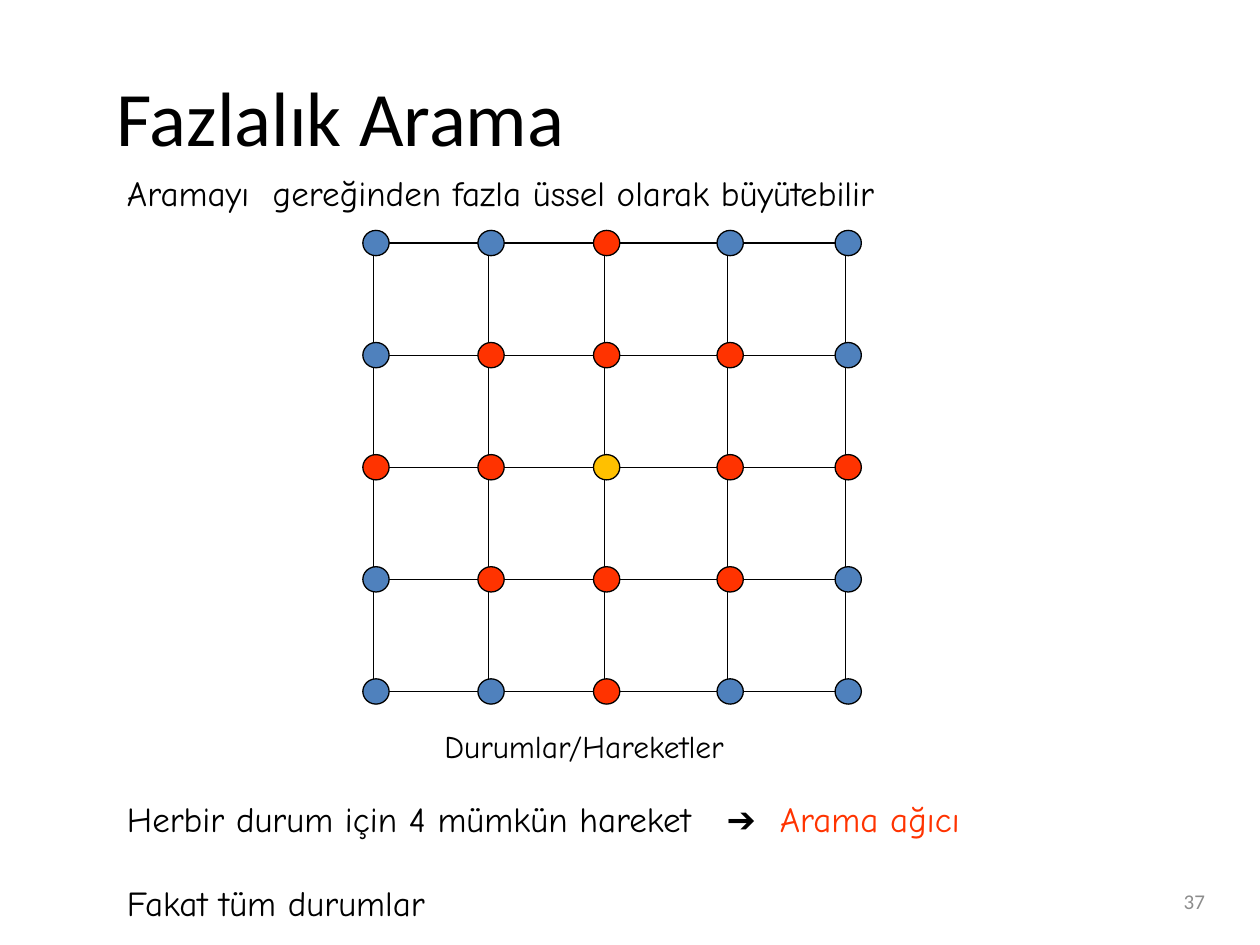
from itertools import pairwise, product

from lxml import etree
from pptx import Presentation
from pptx.dml.color import RGBColor
from pptx.enum.shapes import MSO_CONNECTOR, MSO_SHAPE
from pptx.enum.text import MSO_ANCHOR, PP_ALIGN
from pptx.oxml.ns import qn
from pptx.util import Cm, Pt

LINE = MSO_CONNECTOR.STRAIGHT
OVAL = MSO_SHAPE.OVAL
TOP, MIDDLE = MSO_ANCHOR.TOP, MSO_ANCHOR.MIDDLE
LEFT, RIGHT = PP_ALIGN.LEFT, PP_ALIGN.RIGHT

BLACK, GRAY = "000000", "8C8C8C"
BLUE, RED, YELLOW = "4F81BD", "FF3300", "FFC000"
TITLE_FONT, BODY_FONT = "Calibri", "Comic Neue"

COLUMNS = [7.58, 9.9, 12.23, 14.72, 17.1]
ROWS = [4.9 + 2.26 * row for row in range(5)]
CENTER = 2
LINE_SHIFT = -0.05  # grid lines run slightly left of the state centers
TAB_STOPS = [12.09, 13.16]


def color(hex_string):
    return RGBColor.from_string(hex_string)


class SlideBuilder:
    def __init__(self, slide):
        self.slide = slide
        self.line_width = Pt(0.75)

    def text(self, box, paragraphs, size, font=BODY_FONT, ink=BLACK,
             anchor=TOP, align=LEFT, tabs=(), gap=0):
        """Add a text box; each paragraph is a list of (text, colour or None)."""
        frame = self.slide.shapes.add_textbox(*map(Cm, box)).text_frame
        frame.word_wrap = True
        frame.vertical_anchor = anchor
        for index, runs in enumerate(paragraphs):
            paragraph = frame.add_paragraph() if index else frame.paragraphs[0]
            paragraph.alignment = align
            if index:
                paragraph.space_before = Pt(gap)
            if tabs:
                self.tab_stops(paragraph, tabs)
            paragraph.font.size = Pt(size)
            paragraph.font.name = font
            paragraph.font.color.rgb = color(ink)
            for content, run_ink in runs:
                run = paragraph.add_run()
                run.text = content
                if run_ink:
                    run.font.color.rgb = color(run_ink)

    def tab_stops(self, paragraph, positions):
        properties = paragraph._p.get_or_add_pPr()
        tab_list = etree.SubElement(properties, qn("a:tabLst"))
        for position in positions:
            etree.SubElement(tab_list, qn("a:tab"), pos=str(Cm(position)), algn="l")

    def line(self, x1, y1, x2, y2):
        connector = self.slide.shapes.add_connector(LINE, *map(Cm, (x1, y1, x2, y2)))
        connector.line.color.rgb = color(BLACK)
        connector.line.width = self.line_width
        etree.SubElement(connector._element.spPr, qn("a:effectLst"))

    def state(self, x, y, fill, width=0.53, height=0.51):
        """Add a state dot centered on x, y."""
        shape = self.slide.shapes.add_shape(
            OVAL, Cm(x - width / 2), Cm(y - height / 2), Cm(width), Cm(height))
        shape.shadow.inherit = False
        shape.fill.solid()
        shape.fill.fore_color.rgb = color(fill)
        shape.line.color.rgb = color(BLACK)
        shape.line.width = self.line_width


def state_color(row, column):
    """Colour a state by its number of moves from the center."""
    moves = abs(row - CENTER) + abs(column - CENTER)
    if moves == 0:
        return YELLOW
    return RED if moves <= 2 else BLUE


def draw_grid(builder):
    lines_x = [x + LINE_SHIFT for x in COLUMNS]
    for y, (start, end) in product(ROWS, pairwise(lines_x)):
        builder.line(start, y, end, y)
    for x, (start, end) in product(lines_x, pairwise(ROWS)):
        builder.line(x, start, x, end)
    for (row, y), (column, x) in product(enumerate(ROWS), enumerate(COLUMNS)):
        builder.state(x, y, state_color(row, column))


def main():
    presentation = Presentation()
    presentation.slide_width = Cm(25.4)
    presentation.slide_height = Cm(19.05)
    slide = presentation.slides.add_slide(presentation.slide_layouts[6])
    builder = SlideBuilder(slide)

    builder.text((2.1, 0.74, 22.43, 3.18), [[("Fazlalık Arama", None)]], 44,
                 font=TITLE_FONT, anchor=MIDDLE)
    builder.text((2.31, 3.33, 21.82, 2.59),
                 [[("Aramayı  gereğinden fazla üssel olarak büyütebilir", None)]], 20)
    draw_grid(builder)
    builder.text((8.71, 14.53, 6.83, 1.02), [[("Durumlar/Hareketler", None)]], 18)
    builder.text((2.31, 15.95, 22, 2.79),
                 [[("Herbir durum için 4 mümkün hareket\t➔\t", None),
                   ("Arama ağıcı", RED)],
                  [("Fakat tüm durumlar", None)]],
                 20, tabs=TAB_STOPS, gap=24)
    builder.text((18.62, 17.65, 5.92, 1.02), [[("37", None)]], 12,
                 font=TITLE_FONT, ink=GRAY, anchor=MIDDLE, align=RIGHT)

    presentation.save("out.pptx")


if __name__ == "__main__":
    main()
